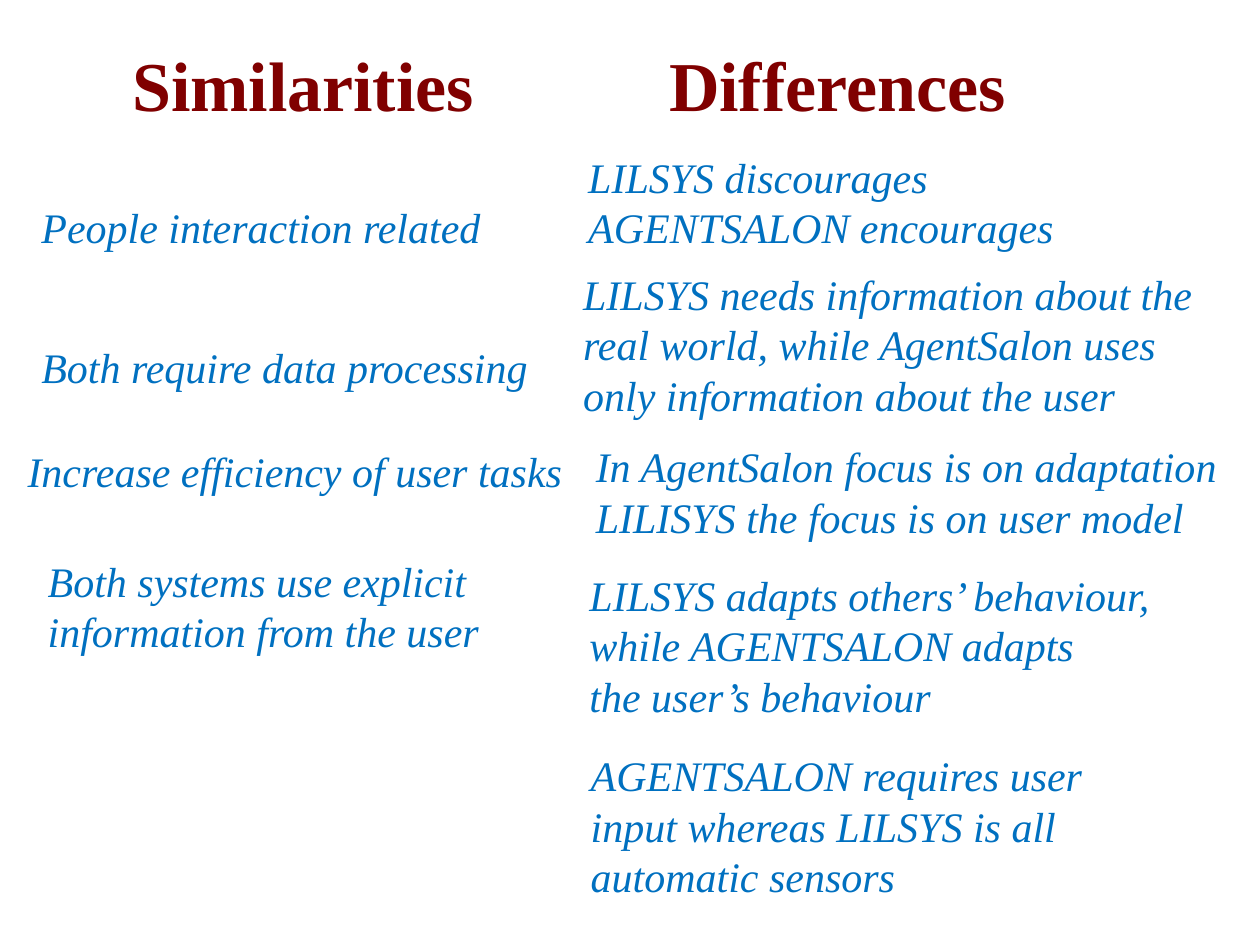
from pptx import Presentation
from pptx import util as u
from pptx.dml.color import RGBColor
from pptx.enum import text

COLORS = {"background": "FFFFFF", "heading": "800000", "point": "0070C0"}
FONT = "Times New Roman"
HEADING_SIZE = (4.25, 1.25)

SIMILARITIES = [
    ((0.23, 1.55, 3.78, 0.5), ["People interaction related"], True, True),
    ((0.23, 2.66, 4.1, 0.5), ["Both require data processing"], False, False),
    ((0.12, 3.49, 4.51, 0.5), ["Increase efficiency of user tasks"], False, False),
    ((0.28, 4.36, 4.02, 0.91),
     ["Both systems use explicit information from the user"], True, False),
]
DIFFERENCES = [
    ((4.57, 1.15, 4.72, 0.91),
     ["LILSYS discourages", "AGENTSALON encourages"], True, True),
    ((4.53, 2.08, 5.36, 1.31),
     ["LILSYS needs information about the real world, "
      "while AgentSalon uses only information about the user"], True, False),
    ((4.63, 3.45, 6.19, 0.91),
     ["In AgentSalon focus is on adaptation",
      "LILISYS the focus is on user model"], True, False),
    ((4.58, 4.47, 5.42, 1.31),
     ["LILSYS adapts others’ behaviour,",
      "while AGENTSALON adapts\nthe user’s behaviour"], True, False),
    ((4.59, 5.9, 4.57, 1.31),
     ["AGENTSALON requires user input whereas LILSYS is all automatic sensors"],
     True, False),
]


def add_run(paragraph, wording, size, color, bold=False, italic=False):
    run = paragraph.add_run()
    run.text = wording
    font = run.font
    font.name, font.size = FONT, u.Pt(size)
    font.bold, font.italic = bold, italic
    font.color.rgb = RGBColor.from_string(COLORS[color])


def place_heading(shape, box, wording):
    shape.left, shape.top, shape.width, shape.height = map(u.Inches, box)
    frame = shape.text_frame
    frame.word_wrap = True
    frame.auto_size = text.MSO_AUTO_SIZE.NONE
    frame.vertical_anchor = text.MSO_ANCHOR.MIDDLE
    paragraph = frame.paragraphs[0]
    paragraph.alignment = text.PP_ALIGN.CENTER
    add_run(paragraph, wording, 40, "heading", bold=True)


def add_point(slide, box, paragraphs, wrap, filled):
    shape = slide.shapes.add_textbox(*map(u.Inches, box))
    if filled:
        shape.fill.solid()
        shape.fill.fore_color.rgb = RGBColor.from_string(COLORS["background"])
    frame = shape.text_frame
    frame.word_wrap = wrap
    frame.auto_size = text.MSO_AUTO_SIZE.SHAPE_TO_FIT_TEXT
    for index, wording in enumerate(paragraphs):
        paragraph = frame.add_paragraph() if index else frame.paragraphs[0]
        for number, line in enumerate(wording.split("\n")):
            if number:
                paragraph.add_line_break()
            add_run(paragraph, line, 24, "point", italic=True)


def add_column(slide, heading, box, wording, points):
    place_heading(heading, box, wording)
    for point in points:
        add_point(slide, *point)


def main():
    presentation = Presentation()
    presentation.slide_width = u.Inches(10)
    presentation.slide_height = u.Inches(7.5)
    slide = presentation.slides.add_slide(presentation.slide_layouts[5])
    slide.background.fill.solid()
    slide.background.fill.fore_color.rgb = RGBColor.from_string(COLORS["background"])
    add_column(slide, slide.shapes.title, (0.28, 0.04, *HEADING_SIZE),
               "Similarities", SIMILARITIES)
    box = (4.52, 0.04, *HEADING_SIZE)
    heading = slide.shapes.add_textbox(*map(u.Inches, box))
    add_column(slide, heading, box, "Differences", DIFFERENCES)
    presentation.save("out.pptx")


if __name__ == "__main__":
    main()
